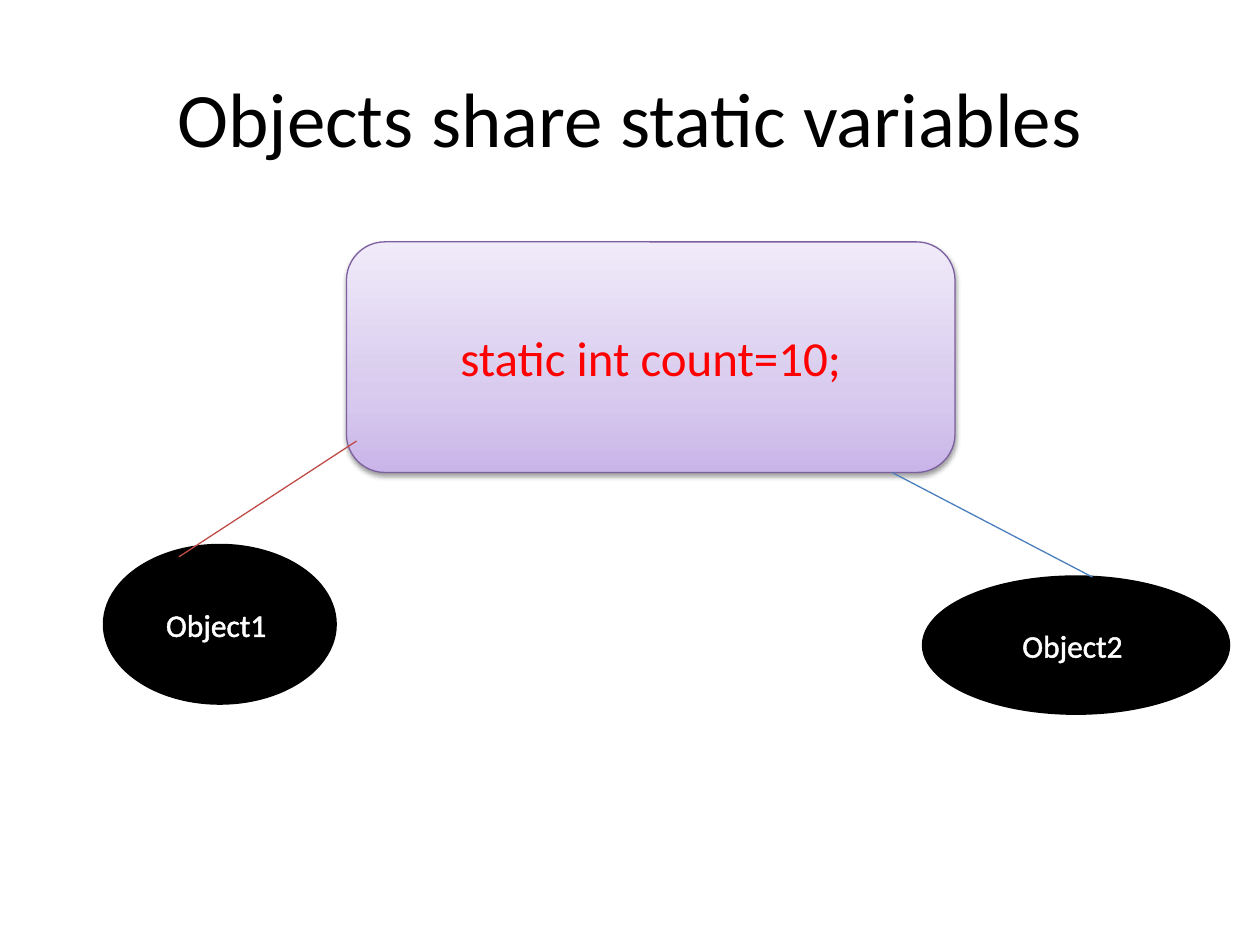
from copy import deepcopy
from dataclasses import dataclass

from lxml import etree
from pptx import Presentation
from pptx.dml.color import RGBColor
from pptx.enum.shapes import MSO_CONNECTOR, MSO_SHAPE
from pptx.enum.text import MSO_ANCHOR, PP_ALIGN
from pptx.oxml import parse_xml
from pptx.oxml.ns import qn
from pptx.util import Inches, Pt

ROUNDED, ELLIPSE = MSO_SHAPE.ROUNDED_RECTANGLE, MSO_SHAPE.OVAL
STRAIGHT = MSO_CONNECTOR.STRAIGHT
MIDDLE, CENTER = MSO_ANCHOR.MIDDLE, PP_ALIGN.CENTER
NS = 'xmlns:a="http://schemas.openxmlformats.org/drawingml/2006/main"'


@dataclass(frozen=True)
class Theme:
    font: str = "Calibri"
    title_size: float = 44
    variable_size: float = 28
    object_size: float = 18
    black: str = "000000"
    white: str = "FFFFFF"
    red: str = "FF0000"
    purple: str = "7D60A0"
    lilac: tuple = ((0, "C9B5E8"), (0.35, "D8CBEE"), (1, "F0EAF9"))
    thin: float = 0.75
    thick: float = 2
    text_outline: float = 1.45


THEME = Theme()

# Places are in inches: left, top, width, height.
TITLE = ("Objects share static variables", (0.5, 0.3, 9, 1.25))
VARIABLE = ("static int count=10;", (2.75, 1.92, 4.83, 1.83))
OBJECTS = [
    ("Object1 ", (0.83, 4.33, 1.83, 1.25)),
    ("Object2 ", (7.33, 4.58, 2.42, 1.08)),
]
LINKS = [
    ((1.42, 4.42), (2.83, 3.5), "BF4C48"),
    ((8.67, 4.58), (7.08, 3.75), "4B7EBC"),
]


def rgb(color):
    return RGBColor.from_string(color)


def write(shape, text, size, color):
    frame = shape.text_frame
    frame.word_wrap = True
    frame.vertical_anchor = MIDDLE
    paragraph = frame.paragraphs[0]
    paragraph.alignment = CENTER
    run = paragraph.add_run()
    run.text = text
    for name, value in {"name": THEME.font, "size": Pt(size)}.items():
        setattr(run.font, name, value)
    run.font.color.rgb = rgb(color)
    return run


def set_line(shape, color, width):
    shape.line.color.rgb = rgb(color)
    shape.line.width = Pt(width)


def add_node(slide, kind, place, line_color, line_width):
    node = slide.shapes.add_shape(kind, *map(Inches, place))
    node.shadow.inherit = False
    set_line(node, line_color, line_width)
    return node


def fill_gradient(shape, stops):
    shape.fill.gradient()
    shape.fill.gradient_angle = 90
    stop_list = shape.element.spPr.find(".//" + qn("a:gsLst"))
    while len(stop_list) < len(stops):
        stop_list.append(deepcopy(stop_list[0]))
    for stop, (position, color) in zip(shape.fill.gradient_stops, stops):
        stop.position = position
        stop.color.rgb = rgb(color)


def cast_shadow(shape):
    shape.element.spPr.find(qn("a:effectLst")).append(parse_xml(
        f'<a:outerShdw {NS} blurRad="{Pt(3.1)}" dist="{Pt(1.6)}" dir="5400000" '
        f'rotWithShape="0"><a:srgbClr val="{THEME.black}">'
        '<a:alpha val="38000"/></a:srgbClr></a:outerShdw>'))


def outline_text(run, color, width):
    run.font._element.insert(0, parse_xml(
        f'<a:ln {NS} w="{Pt(width)}"><a:solidFill>'
        f'<a:srgbClr val="{color}"/></a:solidFill></a:ln>'))


def add_title(slide):
    text, place = TITLE
    title = slide.shapes.title
    for side, value in zip(("left", "top", "width", "height"), place):
        setattr(title, side, Inches(value))
    write(title, text, THEME.title_size, THEME.black)


def add_variable(slide):
    text, place = VARIABLE
    variable = add_node(slide, ROUNDED, place, THEME.purple, THEME.thin)
    fill_gradient(variable, THEME.lilac)
    cast_shadow(variable)
    write(variable, text, THEME.variable_size, THEME.red)


def add_object(slide, text, place):
    node = add_node(slide, ELLIPSE, place, THEME.black, THEME.thick)
    node.fill.solid()
    node.fill.fore_color.rgb = rgb(THEME.black)
    label = write(node, text, THEME.object_size, THEME.white)
    outline_text(label, THEME.white, THEME.text_outline)


def add_link(slide, start, end, color):
    link = slide.shapes.add_connector(STRAIGHT, *map(Inches, start + end))
    set_line(link, color, THEME.thin)
    etree.SubElement(link.element.spPr, qn("a:effectLst"))


def main():
    deck = Presentation()
    deck.slide_width, deck.slide_height = Inches(10), Inches(7.5)
    slide = deck.slides.add_slide(deck.slide_layouts.get_by_name("Title Only"))
    add_title(slide)
    add_variable(slide)
    for text, place in OBJECTS:
        add_object(slide, text, place)
    for start, end, color in LINKS:
        add_link(slide, start, end, color)
    deck.save("out.pptx")


if __name__ == "__main__":
    main()
